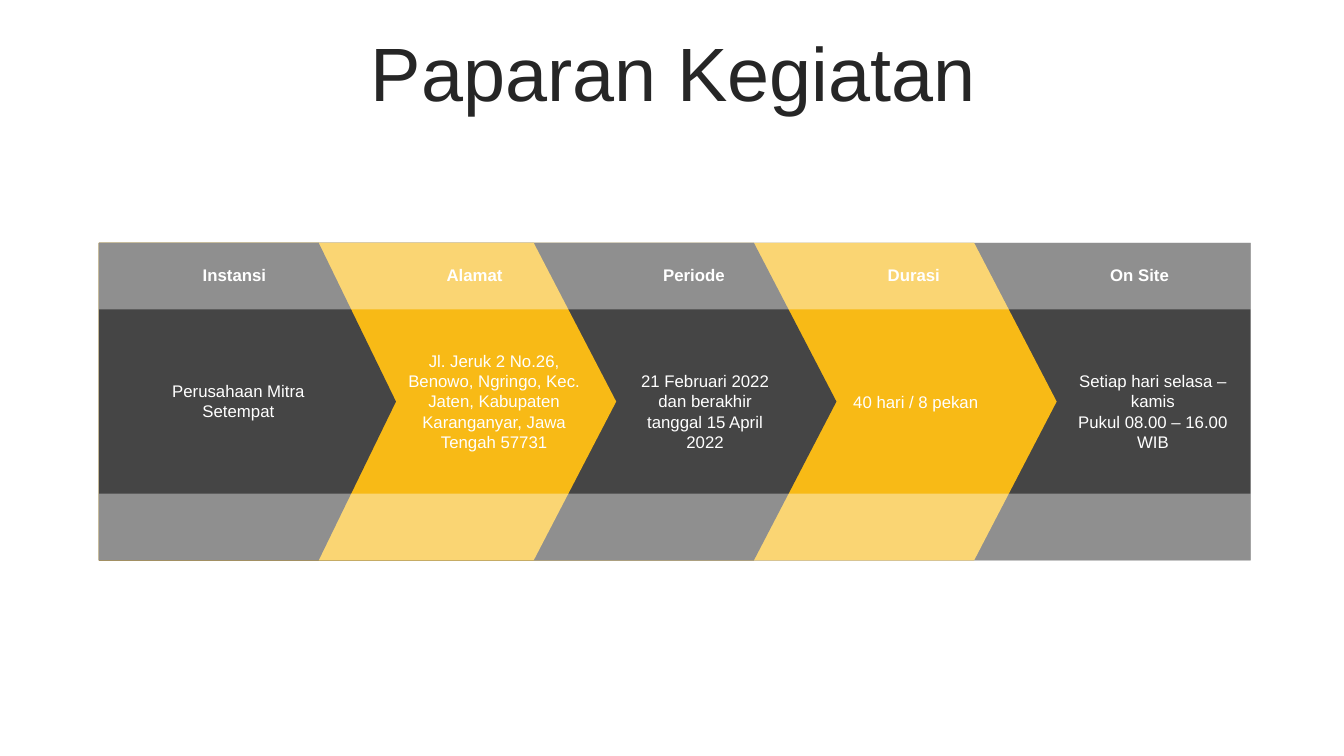
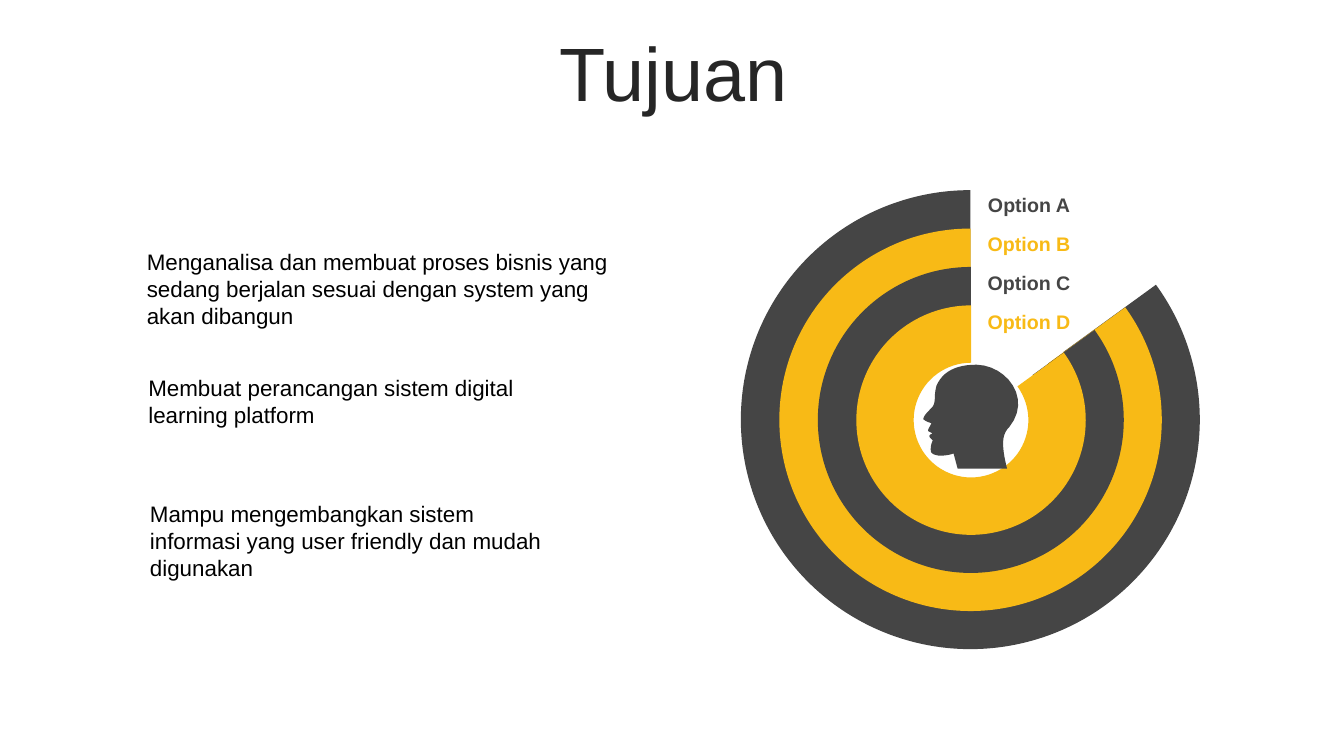
from dataclasses import dataclass

from pptx import Presentation
from pptx.chart.data import CategoryChartData
from pptx.dml.color import RGBColor
from pptx.enum.chart import XL_CHART_TYPE
from pptx.enum.shapes import MSO_SHAPE
from pptx.enum.text import MSO_ANCHOR, MSO_AUTO_SIZE, PP_ALIGN
from pptx.oxml import parse_xml
from pptx.oxml.ns import nsdecls, qn
from pptx.util import Cm, Pt

PENTAGON, RECTANGLE = MSO_SHAPE.PENTAGON, MSO_SHAPE.RECTANGLE
DOUGHNUT = XL_CHART_TYPE.DOUGHNUT
LEFT, CENTER = PP_ALIGN.LEFT, PP_ALIGN.CENTER
MIDDLE, NO_FIT = MSO_ANCHOR.MIDDLE, MSO_AUTO_SIZE.NONE
TITLE_ONLY = 5


@dataclass(frozen=True)
class Theme:
    font: str = "Arial"
    heading: RGBColor = RGBColor(0x26, 0x26, 0x26)
    dark: RGBColor = RGBColor(0x45, 0x45, 0x45)
    gold: RGBColor = RGBColor(0xF8, 0xBA, 0x16)
    white: RGBColor = RGBColor(0xFF, 0xFF, 0xFF)
    black: RGBColor = RGBColor(0, 0, 0)
    title_size: Pt = Pt(54)
    chart_size: Pt = Pt(18)
    goal_size: Pt = Pt(16)
    option_size: Pt = Pt(14)
    stage_size: Pt = Pt(12)


@dataclass(frozen=True)
class Box:
    """A region, measured in centimetres."""
    left: float
    top: float
    width: float
    height: float

    def emu(self):
        return Cm(self.left), Cm(self.top), Cm(self.width), Cm(self.height)

    def inner(self, x, y, width, height):
        return Box(self.left + x, self.top + y, width, height)


@dataclass(frozen=True)
class Stage:
    label: str
    label_x: float
    details: tuple
    detail_x: float
    detail_y: float
    detail_width: float
    line_count: int


THEME = Theme()
ALTERNATING = (THEME.dark, THEME.gold)
TITLE_BOX = Box(0.89, 0.94, 32.16, 2)

STAGES = (
    Stage("Instansi", 1.42, ("Perusahaan Mitra Setempat",), 1.52, 3.35, 4, 2),
    Stage("Alamat", 7.47,
          ("Jl. Jeruk 2 No.26, Benowo, Ngringo, Kec. Jaten, "
           "Kabupaten Karanganyar, Jawa Tengah 57731",), 7.44, 2.59, 5.05, 5),
    Stage("Periode", 13, ("21 Februari 2022 dan berakhir tanggal 15 April 2022",),
          13.28, 3.1, 4, 4),
    Stage("Durasi", 18.54, ("40 hari / 8 pekan",), 18.59, 3.61, 4, 1),
    Stage("On Site", 24.23, ("Setiap hari selasa – kamis", "Pukul 08.00 – 16.00 WIB"),
          24.38, 3.1, 4.37, 4),
)

# Text, box width and box height of each goal
GOALS = (
    ("Menganalisa dan membuat proses bisnis yang sedang berjalan sesuai "
     "dengan system yang akan dibangun", 12.32, 2.31),
    ("Membuat perancangan sistem digital learning platform", 11.05, 1.63),
    ("Mampu mengembangkan sistem informasi yang user friendly dan mudah digunakan",
     11.05, 2.31),
)

# Option label and hole size of each ring, outermost first
RINGS = (("Option A", 87), ("Option B", 84), ("Option C", 80), ("Option D", 74))

# Two numbers end a straight edge, six describe a Bézier curve
HEAD_GRID_WIDTH = 94
HEAD_START = (53, 0)
HEAD_EDGES = (
    (32, 0, 19, 7, 13, 21), (10, 32, 13, 36, 9, 42), (4, 47, 0, 51, 0, 54),
    (2, 56, 5, 57, 8, 58), (7, 61, 4, 64, 5, 66), (9, 68),
    (8, 69, 6, 69, 6, 71), (7, 74, 10, 74, 9, 76), (7, 80, 7, 86, 8, 87),
    (11, 91, 21, 91, 30, 88), (34, 103), (83, 103),
    (77, 79, 78, 69, 85, 62), (108, 34, 83, 1, 53, 0),
)


def add_run(paragraph, text, size, color, bold=False):
    run = paragraph.add_run()
    run.text = text
    font = run.font
    font.name, font.size, font.bold = THEME.font, size, bold
    font.color.rgb = color


def add_text(slide, box, paragraphs, size, color, bold=False, align=CENTER, side_inset=0.25):
    frame = slide.shapes.add_textbox(*box.emu()).text_frame
    frame.word_wrap = True
    frame.margin_left = frame.margin_right = Cm(side_inset)
    frame.margin_top = frame.margin_bottom = Cm(0.13)
    for index, text in enumerate(paragraphs):
        paragraph = frame.add_paragraph() if index else frame.paragraphs[0]
        paragraph.alignment = align
        add_run(paragraph, text, size, color, bold)


def paint(shape, color):
    shape.shadow.inherit = False
    shape.fill.solid()
    shape.fill.fore_color.rgb = color
    shape.line.fill.background()


def add_titled_slide(prs, text):
    slide = prs.slides.add_slide(prs.slide_layouts[TITLE_ONLY])
    title = slide.shapes.title
    title.left, title.top, title.width, title.height = TITLE_BOX.emu()
    frame = title.text_frame
    frame.auto_size = NO_FIT
    frame.vertical_anchor = MIDDLE
    paragraph = frame.paragraphs[0]
    paragraph.alignment = CENTER
    paragraph.line_spacing = 0.9
    add_run(paragraph, text, THEME.title_size, THEME.heading)
    return slide


def add_arrows(slide, box):
    """Stack the arrows from the longest to the shortest, all starting at the left."""
    first_width, step = 7.49, 5.55
    last = len(STAGES) - 1
    for index in range(last, -1, -1):
        is_last = index == last
        width = box.width if is_last else first_width + index * step
        arrow = slide.shapes.add_shape(PENTAGON, *box.inner(0, 0, width, box.height).emu())
        arrow.adjustments[0] = 0 if is_last else 0.26
        paint(arrow, ALTERNATING[index % 2])


def add_veils(slide, box):
    """Lighten the upper and lower edge of the arrows."""
    height = 1.68
    for y in (0, box.height - height):
        veil = slide.shapes.add_shape(RECTANGLE, *box.inner(0, y, box.width, height).emu())
        paint(veil, THEME.white)
        color = veil.fill._xPr.find(".//" + qn("a:srgbClr"))
        color.append(parse_xml(f'<a:alpha {nsdecls("a")} val="40000"/>'))


def add_process(slide, box):
    add_arrows(slide, box)
    add_veils(slide, box)
    for stage in STAGES:
        add_text(slide, box.inner(stage.label_x, 0.41, 4, 0.76), (stage.label,),
                 THEME.stage_size, THEME.white, bold=True)
        detail_height = 0.25 + 0.51 * stage.line_count
        add_text(slide,
                 box.inner(stage.detail_x, stage.detail_y, stage.detail_width, detail_height),
                 stage.details, THEME.stage_size, THEME.white)


def add_goals(slide, box):
    for index, (goal, width, height) in enumerate(GOALS):
        add_text(slide, box.inner(0.04 * index, 3.18 * index, width, height), (goal,),
                 THEME.goal_size, THEME.black, align=LEFT, side_inset=0.3)


def clear_chart_background(chart):
    """Make the chart transparent and let the ring fill its frame."""
    space = chart._chartSpace
    space.find(qn("c:chart")).addnext(parse_xml(
        f'<c:spPr {nsdecls("c", "a")}><a:noFill/><a:ln><a:noFill/></a:ln></c:spPr>'))
    plot_area = space.find(".//" + qn("c:plotArea"))
    for layout in plot_area.findall(qn("c:layout")):
        plot_area.remove(layout)
    placement = "".join(f'<c:{tag} val="{value}"/>' for tag, value in (
        ("layoutTarget", "inner"), ("xMode", "edge"), ("yMode", "edge"),
        ("x", 0.015), ("y", 0.011), ("w", 0.964), ("h", 0.974)))
    plot_area.insert(0, parse_xml(
        f'<c:layout {nsdecls("c")}><c:manualLayout>{placement}</c:manualLayout></c:layout>'))


def add_ring(slide, box, color, hole_size):
    data = CategoryChartData()
    data.categories = ("1", "2")
    data.add_series("Series 1", (15, 85))
    chart = slide.shapes.add_chart(DOUGHNUT, *box.emu(), data).chart
    chart.has_legend = chart.has_title = False
    chart.font.name, chart.font.size = THEME.font, THEME.chart_size
    chart.font.color.rgb = THEME.black
    plot = chart.plots[0]
    plot.vary_by_categories = True
    plot.has_data_labels = False
    gap, arc = (plot.series[0].points[index].format for index in range(2))
    gap.fill.background()
    arc.fill.solid()
    arc.fill.fore_color.rgb = color
    for part in (gap, arc):
        part.line.fill.background()
    chart._chartSpace.find(".//" + qn("c:holeSize")).set("val", str(hole_size))
    clear_chart_background(chart)


def curve_points(start, edge, steps=12):
    """Sample a cubic Bézier curve, leaving out its start."""
    points = (start, edge[:2], edge[2:4], edge[4:])
    for step in range(1, steps + 1):
        t = step / steps
        weights = ((1 - t) ** 3, 3 * t * (1 - t) ** 2, 3 * t ** 2 * (1 - t), t ** 3)
        yield tuple(sum(w * p[axis] for w, p in zip(weights, points)) for axis in (0, 1))


def add_head(slide, box):
    outline = [HEAD_START]
    for edge in HEAD_EDGES:
        outline.extend([edge] if len(edge) == 2 else curve_points(outline[-1], edge))
    unit = Cm(box.width) / HEAD_GRID_WIDTH
    start, *rest = [(x * unit, y * unit) for x, y in outline]
    builder = slide.shapes.build_freeform(*start)
    builder.add_line_segments(rest, close=True)
    paint(builder.convert_to_shape(Cm(box.left), Cm(box.top)), THEME.dark)


def add_target(slide, box):
    """Nest the rings around the head and label them in the gap."""
    ring_step = 1
    for index, (_, hole_size) in enumerate(RINGS):
        offset = index * ring_step
        size = box.width - 2 * offset
        add_ring(slide, box.inner(offset, offset, size, size),
                 ALTERNATING[index % 2], hole_size)
    center = box.width / 2
    for index, (option, _) in enumerate(RINGS):
        add_text(slide, box.inner(center - 0.03, 0.12 + index * ring_step * 0.99, 2.95, 0.86),
                 (option,), THEME.option_size, ALTERNATING[index % 2], bold=True)
    add_head(slide, box.inner(center - 1.22, center - 1.41, 2.39, 2.62))


def main():
    prs = Presentation()
    prs.slide_width, prs.slide_height = Cm(33.87), Cm(19.05)
    add_process(add_titled_slide(prs, "Paparan Kegiatan"), Box(2.49, 6.12, 29.03, 8))
    goals_slide = add_titled_slide(prs, "Tujuan")
    add_goals(goals_slide, Box(3.4, 6.12, 12.32, 8.67))
    add_target(goals_slide, Box(18.49, 4.6, 12, 12))
    prs.save("out.pptx")


if __name__ == "__main__":
    main()
